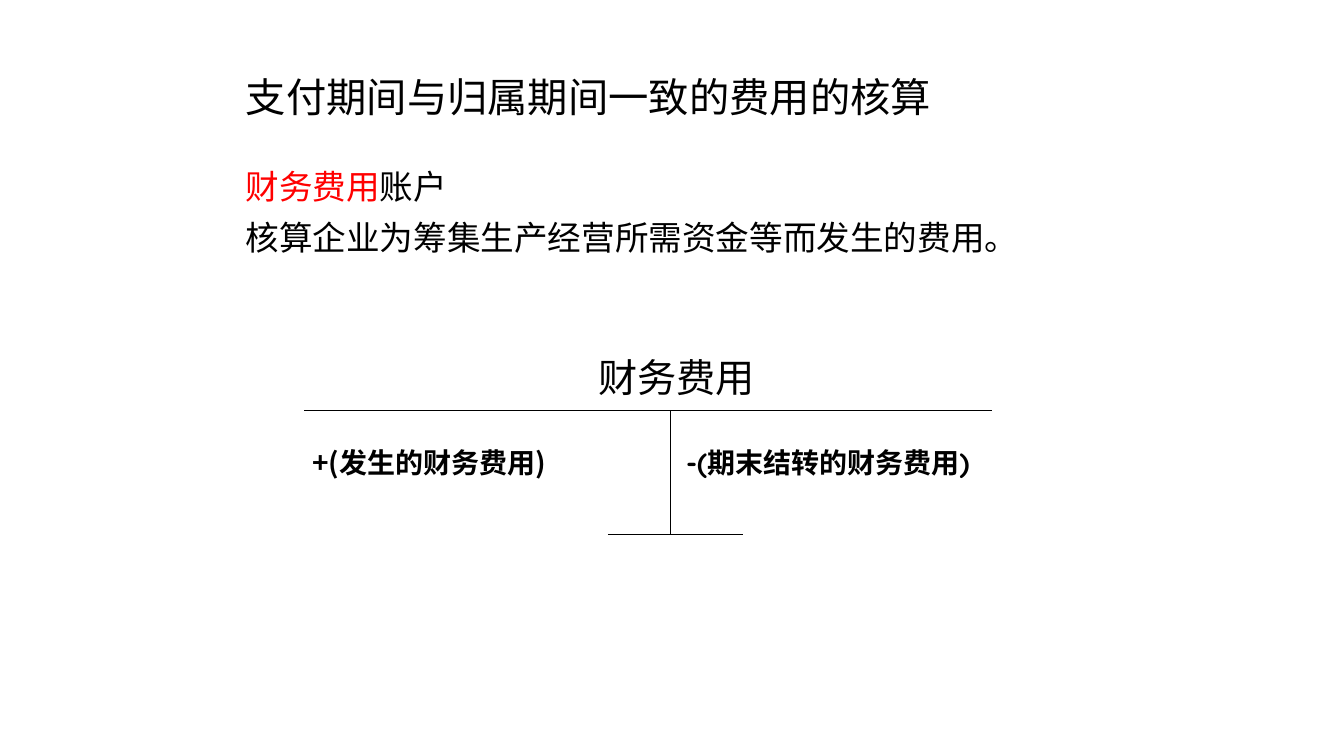
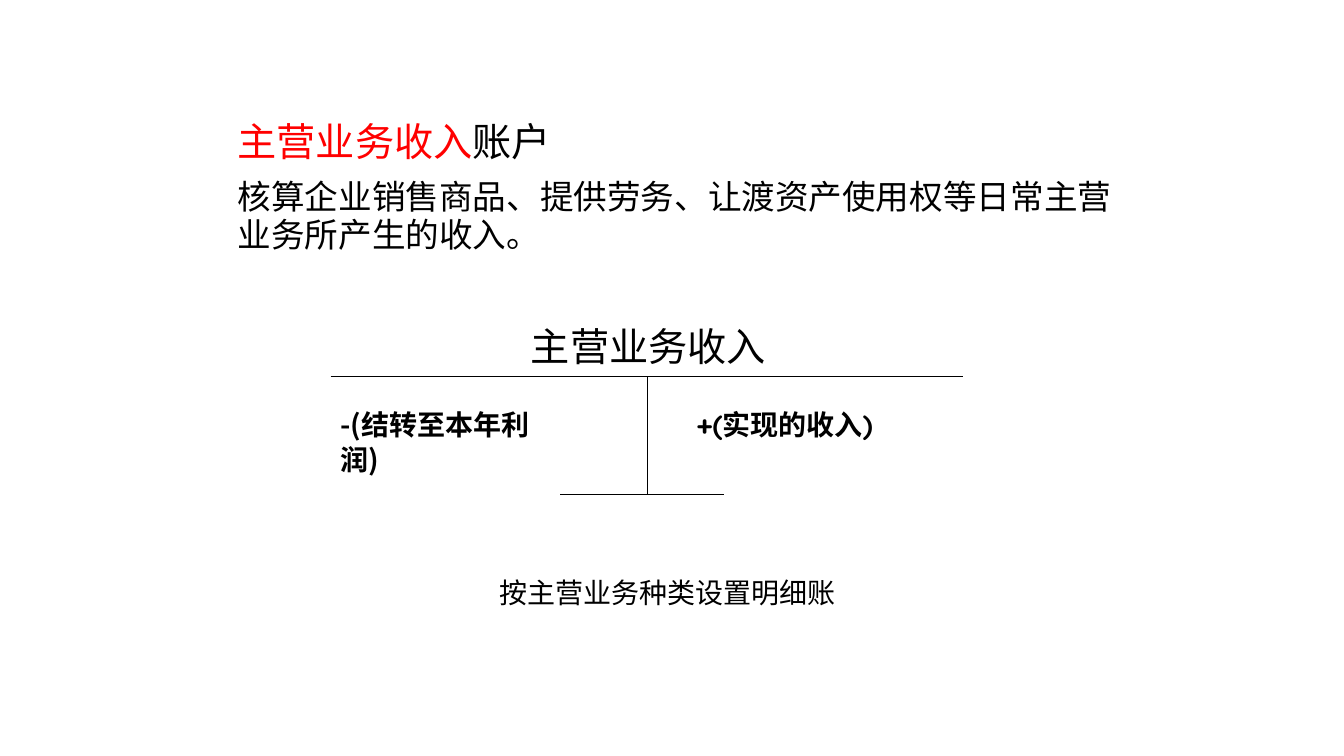
from lxml import etree
from pptx import Presentation
from pptx.dml.color import RGBColor
from pptx.enum.shapes import MSO_CONNECTOR
from pptx.enum.text import MSO_ANCHOR, MSO_AUTO_SIZE, PP_ALIGN
from pptx.oxml.ns import qn
from pptx.util import Cm, Pt

LINE = MSO_CONNECTOR.STRAIGHT
LEFT = PP_ALIGN.LEFT
MID, TOP = MSO_ANCHOR.MIDDLE, MSO_ANCHOR.TOP
FIXED = MSO_AUTO_SIZE.NONE
TITLE_ONLY, BLANK = 5, 6
SANS, ROUND = "Noto Sans CJK SC", "Quicksand"
BLACK, RED = "000000", "FF0000"
LOOSE, TIGHT = 1.25, 1.125


def paint(color, code):
    color.rgb = RGBColor.from_string(code)


def write(par, text, size=24, color=BLACK, bold=False, font=SANS, pitch=LOOSE):
    run = par.add_run()
    run.text = text
    run.font.size = Pt(size)
    run.font.bold = bold
    run.font.name = font
    paint(run.font.color, color)
    east = etree.SubElement(run.font._element, qn("a:ea"))
    east.set("typeface", SANS)
    par.alignment = LEFT
    par.line_spacing = Pt(size * pitch)


def set_frame(frame, anchor):
    frame.word_wrap = True
    frame.auto_size = FIXED
    frame.vertical_anchor = anchor


def add_box(slide, x, y, w, h):
    frame = slide.shapes.add_textbox(Cm(x), Cm(y), Cm(w), Cm(h)).text_frame
    set_frame(frame, TOP)
    return frame


def add_label(slide, text, x, y, w, h=1.12, size=20, **style):
    frame = add_box(slide, x, y, w, h)
    write(frame.paragraphs[0], text, size=size, **style)


def add_title(slide, text):
    title = slide.shapes.title
    title.left, title.top = Cm(5.94), Cm(1.32)
    title.width, title.height = Cm(19.05), Cm(2.29)
    set_frame(title.text_frame, MID)
    write(title.text_frame.paragraphs[0], text, size=28.8, pitch=TIGHT)


def add_body(slide, name, text, x, y, h, size):
    frame = add_box(slide, x, y, 23.01, h)
    head = frame.paragraphs[0]
    write(head, name, size=size, color=RED, pitch=TIGHT)
    write(head, "账户", size=size, pitch=TIGHT)
    par = frame.add_paragraph()
    par.space_before = Pt(10)
    write(par, text, pitch=TIGHT)


def add_line(slide, x1, y1, x2, y2):
    line = slide.shapes.add_connector(LINE, Cm(x1), Cm(y1), Cm(x2), Cm(y2))
    line.line.width = Pt(0.75)
    paint(line.line.color, BLACK)
    etree.SubElement(line._element.spPr, qn("a:effectLst"))


def add_ledger(slide, bar, stem, foot, top, base):
    add_line(slide, bar[0], top, bar[1], top)
    add_line(slide, stem, top, stem, base)
    add_line(slide, foot[0], base, foot[1], base)


def add_sides(slide, y, debit, credit):
    for (text, x, w), font in ((debit, SANS), (credit, ROUND)):
        add_label(slide, text, x, y, w, bold=True, font=font)


def add_cost(deck):
    slide = deck.slides.add_slide(deck.slide_layouts[TITLE_ONLY])
    add_title(slide, "支付期间与归属期间一致的费用的核算")
    add_body(slide, "财务费用", "核算企业为筹集生产经营所需资金等而发生的费用。",
             5.94, 4.11, 9.8, 24)
    add_label(slide, "财务费用", 14.83, 8.74, 6.6, h=1.45, size=28)
    add_ledger(slide, (7.67, 24.99), 16.89, (15.32, 18.72), 10.34, 13.46)
    add_sides(slide, 11.07, ("+(发生的财务费用)", 7.62, 9.35),
              ("-(期末结转的财务费用)", 17.04, 11.23))


def add_sales(deck):
    slide = deck.slides.add_slide(deck.slide_layouts[BLANK])
    add_body(slide, "主营业务收入",
             "核算企业销售商品、提供劳务、让渡资产使用权等日常主营业务所产生的收入。",
             5.74, 2.9, 6.6, 28)
    add_label(slide, "主营业务收入", 13.13, 7.95, 8, h=1.45, size=28)
    add_ledger(slide, (8.33, 24.26), 16.31, (14.12, 18.24), 9.49, 12.45)
    add_sides(slide, 10.11, ("-(结转至本年利润)", 8.33, 6.05),
              ("+(实现的收入)", 17.3, 9.65))
    add_label(slide, "按主营业务种类设置明细账", 12.34, 14.33, 13.77)


def main():
    deck = Presentation()
    deck.slide_width, deck.slide_height = Cm(33.87), Cm(19.05)
    add_cost(deck)
    add_sales(deck)
    deck.save("out.pptx")


if __name__ == "__main__":
    main()
